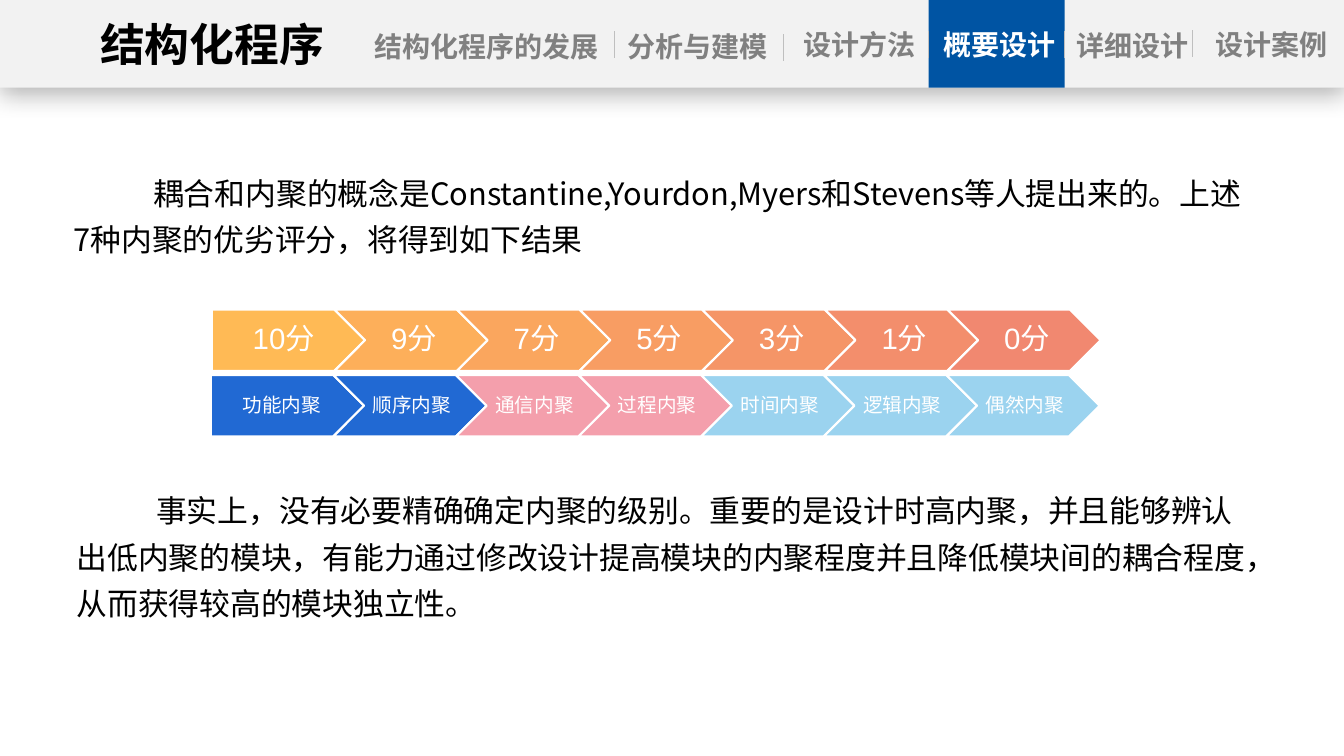
from lxml.etree import SubElement
from pptx import Presentation
from pptx.dml.color import RGBColor
from pptx.enum.shapes import MSO_CONNECTOR, MSO_SHAPE
from pptx.enum.text import MSO_ANCHOR, MSO_AUTO_SIZE, PP_ALIGN
from pptx.oxml.ns import qn
from pptx.util import Inches, Pt

CJK = "Noto Sans CJK SC"


def color(value):
    return RGBColor.from_string(value)


def write(shape, text, size=20, fill="808080", font="Arial", bold=False,
          align=PP_ALIGN.CENTER, anchor=MSO_ANCHOR.TOP, spacing=1.0,
          indent=None, insets=(0, 0.05, 0, 0.05), fit=MSO_AUTO_SIZE.SHAPE_TO_FIT_TEXT):
    frame = shape.text_frame
    frame.word_wrap = True
    frame.auto_size = fit
    frame.vertical_anchor = anchor
    frame.margin_left, frame.margin_top, frame.margin_right, frame.margin_bottom = map(Inches, insets)
    paragraph = frame.paragraphs[0]
    paragraph.alignment = align
    paragraph.line_spacing = spacing
    paragraph.space_before = Pt(0)
    if indent is not None:
        properties = paragraph._p.get_or_add_pPr()
        properties.set("marL", "0")
        properties.set("indent", str(Inches(indent)))
        SubElement(properties, qn("a:buNone"))
    run = paragraph.add_run()
    run.text = text
    run.font.name = font
    run.font.size = Pt(size)
    run.font.bold = bold
    run.font.color.rgb = color(fill)
    SubElement(run._r.get_or_add_rPr(), qn("a:ea"), typeface=CJK)


deck = Presentation()
deck.slide_width, deck.slide_height = Inches(13.33), Inches(7.5)
slide = deck.slides.add_slide(deck.slide_layouts[3])
shapes = slide.shapes
title, opening, conclusion = slide.placeholders

passages = [
    (opening, (0.63, 1.59, 11.79, 0.98),
     "耦合和内聚的概念是Constantine,Yourdon,Myers和Stevens等人提出来的。上述7种内聚的优劣评分，将得到如下结果"),
    (conclusion, (0.66, 4.74, 11.84, 1.45),
     "事实上，没有必要精确确定内聚的级别。重要的是设计时高内聚，并且能够辨认出低内聚的模块，"
     "有能力通过修改设计提高模块的内聚程度并且降低模块间的耦合程度，从而获得较高的模块独立性。"),
]
for passage, place, text in passages:
    passage.left, passage.top, passage.width, passage.height = map(Inches, place)
    write(passage, text, size=22, fill="000000", font=CJK, align=PP_ALIGN.LEFT,
          spacing=1.25, indent=0.79, insets=(0.1, 0.05, 0.1, 0.05))

scores = [("10分", "FFBA55"), ("9分", "FDAF5A"), ("7分", "FAA65E"), ("5分", "F89D63"),
          ("3分", "F59567"), ("1分", "F38E6C"), ("0分", "F18870")]
cohesions = [("功能内聚", "2169D3"), ("顺序内聚", "2169D3"), ("通信内聚", "F49FAC"),
             ("过程内聚", "F49FAC"), ("时间内聚", "9BD3EF"), ("逻辑内聚", "9BD3EF"),
             ("偶然内聚", "9BD3EF")]
step_width, step_height = 1.52, 0.61
step_pitch = step_width * 0.8
chains = [(scores, 2.1, 3.07, 21, (0.09, 0.06, 0.03, 0.06)),
          (cohesions, 2.09, 3.72, 14, (0.06, 0.04, 0.02, 0.04))]
for steps, left, top, size, insets in chains:
    for column, (label, fill) in enumerate(steps):
        outline = MSO_SHAPE.CHEVRON if column else MSO_SHAPE.PENTAGON
        step = shapes.add_shape(outline, Inches(left + column * step_pitch), Inches(top),
                                Inches(step_width), Inches(step_height))
        step.shadow.inherit = False
        step.fill.solid()
        step.fill.fore_color.rgb = color(fill)
        step.line.color.rgb = color("FFFFFF")
        step.line.width = Pt(1.5)
        write(step, label, size=size, fill="FFFFFF", anchor=MSO_ANCHOR.MIDDLE,
              spacing=0.9, insets=insets, fit=MSO_AUTO_SIZE.NONE)

header_height = Inches(0.87)
header = shapes.add_shape(MSO_SHAPE.RECTANGLE, 0, 0, deck.slide_width, header_height)
current = shapes.add_shape(MSO_SHAPE.RECTANGLE, Inches(9.21), 0, Inches(1.35), header_height)
for band, fill in [(header, "F2F2F2"), (current, "0054A3")]:
    band.shadow.inherit = False
    band.fill.solid()
    band.fill.fore_color.rgb = color(fill)
    band.line.fill.background()
shadow = SubElement(header._element.spPr.find(qn("a:effectLst")), qn("a:outerShdw"),
                    blurRad=str(Pt(18)), dist=str(Pt(4)), dir="5400000",
                    algn="t", rotWithShape="0")
SubElement(SubElement(shadow, qn("a:srgbClr"), val="000000"), qn("a:alpha"), val="29000")

for x, top in [(6.09, 0.31), (7.77, 0.34), (9.21, 0.31), (10.56, 0.31), (11.83, 0.3)]:
    divider = shapes.add_connector(MSO_CONNECTOR.STRAIGHT, Inches(x), Inches(top),
                                   Inches(x), Inches(top + 0.27))
    divider.line.color.rgb = color("BFBFBF")
    divider.line.width = Pt(0.5)
    SubElement(divider._element.spPr, qn("a:effectLst"))

sections = [("结构化程序的发展", 3.64, 0.24, 2.37), ("分析与建模", 6.18, 0.24, 1.47),
            ("设计方法", 7.79, 0.22, 1.47), ("概要设计", 9.18, 0.22, 1.47),
            ("详细设计", 10.47, 0.23, 1.52), ("设计案例", 11.88, 0.22, 1.47)]
for section, left, top, width in sections:
    tab = shapes.add_textbox(Inches(left), Inches(top), Inches(width), Inches(0.44))
    write(tab, section, bold=True, fill="FFFFFF" if section == "概要设计" else "808080")

title.left, title.top, title.width, title.height = map(Inches, (0.91, 0.12, 2.39, 0.64))
write(title, "结构化程序", size=32, fill="000000", bold=True)
shapes._spTree.append(title._element)

deck.save("out.pptx")
